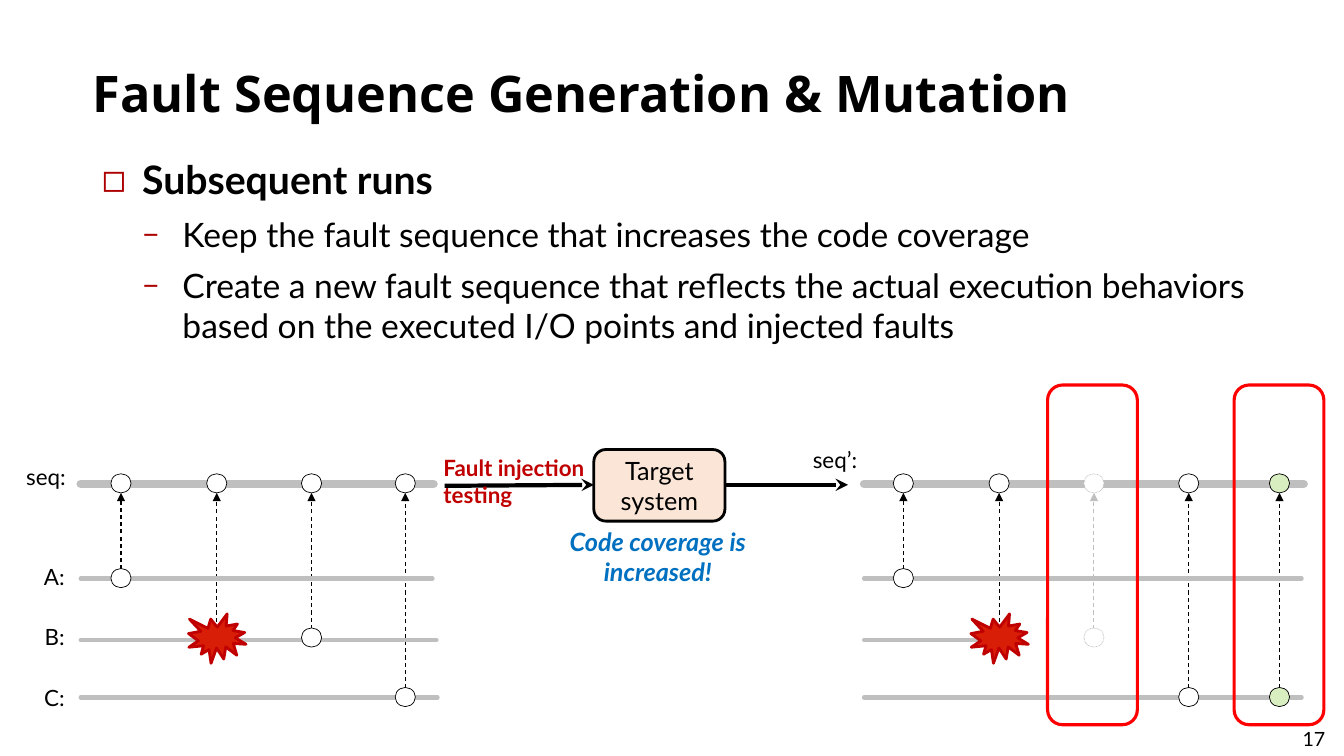
from lxml import etree
from pptx import Presentation
from pptx import util as u
from pptx.dml.color import RGBColor
from pptx.enum import dml, shapes, text
from pptx.oxml.ns import qn

PX = 9144  # EMU per px, 100 px to the inch
COLORS = {
    "black": "000000", "white": "FFFFFF", "rail": "BFBFBF", "bullet": "AD0101",
    "fault": "D81E06", "dark red": "C00000", "target": "FBE5D6",
    "blue": "0070C0", "new": "D8EEC0", "mark": "FF0000",
}
TITLE = "Fault Sequence Generation & Mutation"
# wording, level, size, bold, bullet, bullet size in %, space before
BULLETS = [
    ("Subsequent runs", 0, 28, True, "◻", 100, 0),
    ("Keep the fault sequence that increases the code coverage", 1, 24, False, "−", 90, 8),
    ("Create a new fault sequence that reflects the actual execution behaviors "
     "based on the executed I/O points and injected faults", 1, 24, False, "−", 90, 8),
]
SEQ_Y = 480
ROW_Y = {"A": 574, "B": 633, "C": 692}
RAIL_Y = {"A": 574, "B": 635, "C": 692}
NODE_W, NODE_H = 20, 19
FAULT_W, FAULT_H = 57, 49
# rails: left, then right end per row; points: centre x, row, kind
SEQUENCES = [
    {"left": 80, "ends": {"A": 429, "B": 433, "C": 434, "seq": 430},
     "points": [(120, "A", "plain"), (215, "B", "fault"), (309, "B", "plain"),
                (402, "C", "plain")]},
    {"left": 857, "ends": {"A": 1291, "B": 999, "C": 1291, "seq": 1293},
     "points": [(896, "A", "plain"), (991, "B", "fault"), (1085, "B", "dropped"),
                (1179, "C", "plain"), (1269, "C", "new")]},
]
# wording, left, top, width, height, size, colour, alignment, bold, italic
LABELS = [
    ("seq:", 0, 455, 75, 37, 16, "black", "RIGHT", False, False),
    ("A:", 0, 554, 74, 37, 16, "black", "RIGHT", False, False),
    ("B:", 0, 613, 74, 37, 16, "black", "RIGHT", False, False),
    ("C:", 0, 674, 74, 37, 16, "black", "RIGHT", False, False),
    ("seq’:", 776, 438, 84, 37, 16, "black", "RIGHT", False, False),
    ("Code coverage is increased!", 536, 517, 233, 72, 18, "blue", "CENTER", True, True),
    ("Fault injection testing", 430, 446, 185, 64, 16, "dark red", "LEFT", True, False),
    ("17", 1282, 716, 48, 34, 14, "black", "LEFT", False, False),
]
TARGET = ("Target system", 589, 446, 130, 71)
FLOW = [(441, 482, 589, 481), (719, 481, 841, 481)]
MARKS = [(1039, 382, 89, 337), (1224, 382, 89, 337)]


def rgb(name):
    return RGBColor.from_string(COLORS[name])


def place(shape, *box):
    shape.left, shape.top, shape.width, shape.height = (v * PX for v in box)


def write(paragraph, words, size, color="black", bold=False, italic=False, face="Lato"):
    run = paragraph.add_run()
    run.text = words
    run.font.name, run.font.size = face, u.Pt(size)
    run.font.bold, run.font.italic = bold, italic
    run.font.color.rgb = rgb(color)


def add_outlined(kind, box, fill, line, width):
    shape = slide.shapes.add_shape(kind, *(v * PX for v in box))
    shape.shadow.inherit = False
    if fill:
        shape.fill.solid()
        shape.fill.fore_color.rgb = rgb(fill)
    else:
        shape.fill.background()
    shape.line.color.rgb = rgb(line)
    shape.line.width = u.Pt(width)
    return shape


def add_line(x1, y1, x2, y2, color, width, head=None, dashed=False, cap="flat"):
    line = slide.shapes.add_connector(
        shapes.MSO_CONNECTOR.STRAIGHT, *(v * PX for v in (x1, y1, x2, y2)))
    line.line.color.rgb = rgb(color)
    line.line.width = u.Pt(width)
    if dashed:
        line.line.dash_style = dml.MSO_LINE.DASH
    ln = line.line._get_or_add_ln()
    ln.set("cap", cap)
    if head:
        etree.SubElement(ln, qn("a:tailEnd"), type=head)
    etree.SubElement(line._element.spPr, qn("a:effectLst"))


def add_node(x, y, kind):
    box = (x - NODE_W // 2, y - NODE_H // 2 - 1, NODE_W, NODE_H)
    node = add_outlined(shapes.MSO_SHAPE.OVAL, box, "new" if kind == "new" else "white",
                        "rail" if kind == "dropped" else "black", 0.5)
    if kind == "dropped":
        node.line.dash_style = dml.MSO_LINE.ROUND_DOT


def add_sequence(left, ends, points):
    for x, row, kind in points:
        add_line(x, ROW_Y[row] - 9, x, SEQ_Y + 9,
                 "rail" if kind == "dropped" else "black", 0.75, "triangle", True)
    for row, y in RAIL_Y.items():
        add_line(left, y, ends[row], y, "rail", 3, cap="rnd")
    add_line(left, SEQ_Y, ends["seq"], SEQ_Y, "rail", 6, cap="rnd")
    for x, row, kind in points:
        add_node(x, SEQ_Y, kind)
        if kind == "fault":
            box = (x - FAULT_W // 2, ROW_Y[row] - FAULT_H // 2, FAULT_W, FAULT_H)
            add_outlined(shapes.MSO_SHAPE.EXPLOSION1, box, "fault", "dark red", 2)
        else:
            add_node(x, ROW_Y[row], kind)


def add_bullet(paragraph, mark, percent, level):
    pPr = paragraph._p.get_or_add_pPr()
    pPr.set("marL", str(40 * (level + 1) * PX))
    pPr.set("indent", str(-40 * PX))
    color = etree.SubElement(pPr, qn("a:buClr"))
    etree.SubElement(color, qn("a:srgbClr"), val=COLORS["bullet"])
    etree.SubElement(pPr, qn("a:buSzPct"), val=str(percent * 1000))
    etree.SubElement(pPr, qn("a:buFont"), typeface="Lato")
    etree.SubElement(pPr, qn("a:buChar"), char=mark)


prs = Presentation()
prs.slide_width, prs.slide_height = 1333 * PX, 750 * PX
slide = prs.slides.add_slide(prs.slide_layouts[1])

title, body = slide.placeholders
place(title, 82, 34, 1184, 93)
title.text_frame.vertical_anchor = text.MSO_ANCHOR.BOTTOM
title.text_frame.auto_size = text.MSO_AUTO_SIZE.NONE
heading = title.text_frame.paragraphs[0]
heading.alignment = text.PP_ALIGN.LEFT
heading.line_spacing = u.Pt(46.7)
write(heading, TITLE, 36, bold=True, face="Open Sans")

place(body, 91, 149, 1159, 208)
body.text_frame.auto_size = text.MSO_AUTO_SIZE.NONE
for i, (words, level, size, bold, mark, percent, before) in enumerate(BULLETS):
    item = body.text_frame.add_paragraph() if i else body.text_frame.paragraphs[0]
    item.level = level
    add_bullet(item, mark, percent, level)
    item.space_before = u.Pt(before)
    write(item, words, size, bold=bold)

for sequence in SEQUENCES:
    add_sequence(**sequence)

words, *box = TARGET
target = add_outlined(shapes.MSO_SHAPE.ROUNDED_RECTANGLE, box, "target", "black", 2)
target.text_frame.word_wrap = True
target.text_frame.vertical_anchor = text.MSO_ANCHOR.MIDDLE
target.text_frame.paragraphs[0].alignment = text.PP_ALIGN.CENTER
write(target.text_frame.paragraphs[0], words, 18)
for ends in FLOW:
    add_line(*ends, "black", 3, "stealth")

for words, x, y, w, h, size, color, align, bold, italic in LABELS:
    label = slide.shapes.add_textbox(x * PX, y * PX, w * PX, h * PX).text_frame
    label.word_wrap = True
    label.paragraphs[0].alignment = getattr(text.PP_ALIGN, align)
    write(label.paragraphs[0], words, size, color, bold, italic)

for box in MARKS:
    add_outlined(shapes.MSO_SHAPE.ROUNDED_RECTANGLE, box, None, "mark", 2.25)

prs.save("out.pptx")
